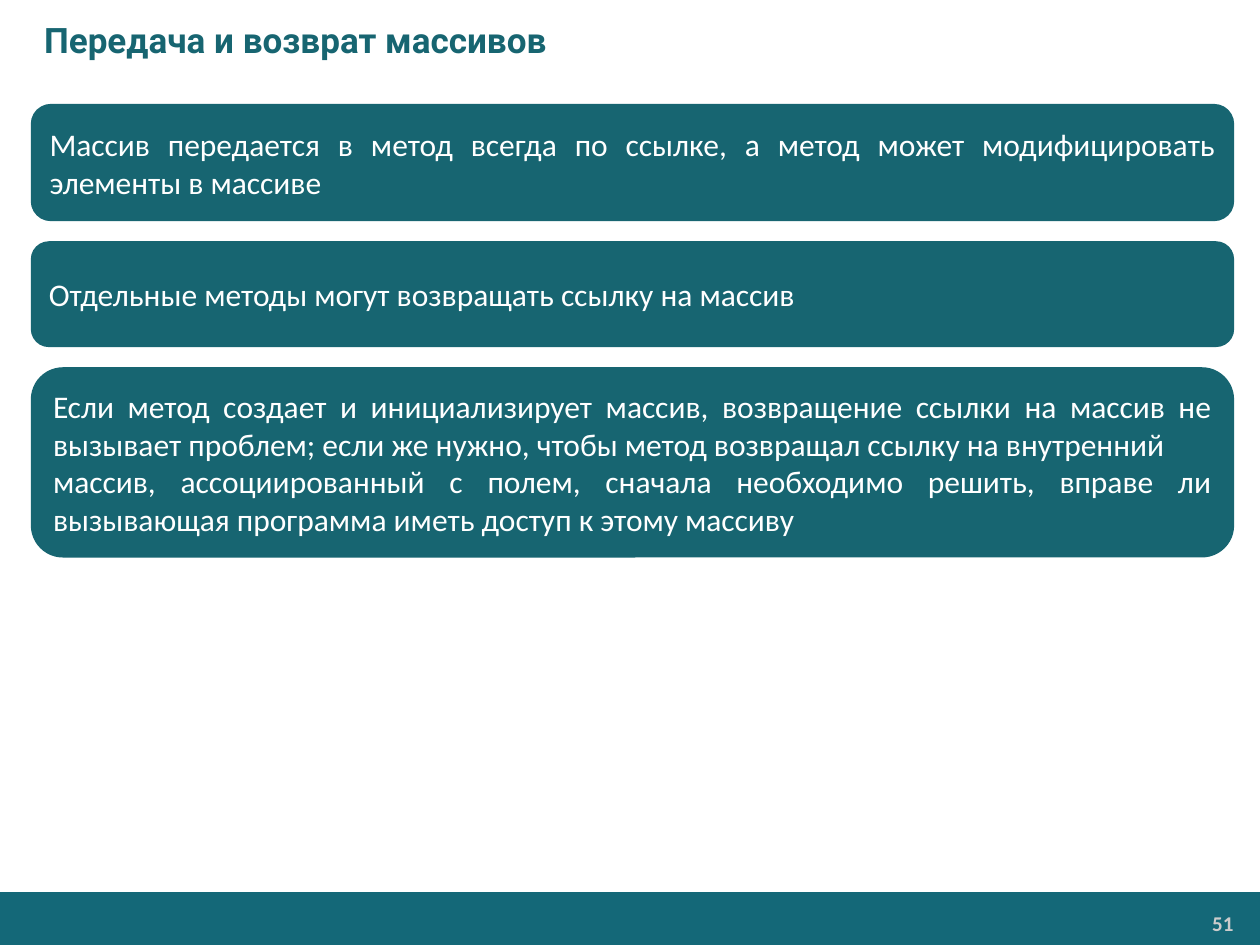
from pptx import Presentation
from pptx.dml.color import RGBColor
from pptx.enum.shapes import MSO_SHAPE as Shape
from pptx.enum.text import MSO_ANCHOR as Anchor, PP_ALIGN as Align
from pptx.util import Inches, Pt

TEAL = RGBColor(0x17, 0x65, 0x71)
FOOTER_TEAL = RGBColor(0x14, 0x68, 0x78)
WHITE = RGBColor(0xFF, 0xFF, 0xFF)
GRAY = RGBColor(0xCC, 0xCC, 0xCC)

presentation = Presentation()
presentation.slide_width, presentation.slide_height = Inches(10), Inches(7.5)
slide = presentation.slides.add_slide(presentation.slide_layouts[6])


def add_block(kind, left, top, width, height, color):
    block = slide.shapes.add_shape(
        kind, Inches(left), Inches(top), Inches(width), Inches(height))
    block.shadow.inherit = False
    block.fill.solid()
    block.fill.fore_color.rgb = color
    block.line.color.rgb = color
    block.line.width = Pt(0.75)
    return block


def write(shape, paragraphs, align, anchor, color, font_values):
    frame = shape.text_frame
    frame.word_wrap = True
    frame.vertical_anchor = anchor
    frame.text = "\n".join(paragraphs)
    for paragraph in frame.paragraphs:
        paragraph.alignment = align
        paragraph.font.color.rgb = color
        for name, value in font_values.items():
            setattr(paragraph.font, name, value)


footer = add_block(Shape.RECTANGLE, 0, 7.08, 10.01, 0.43, FOOTER_TEAL)
footer.line.fill.background()

page_number = slide.shapes.add_textbox(
    Inches(8.23), Inches(7.19), Inches(1.63), Inches(0.28))
frame = page_number.text_frame
frame.margin_left = frame.margin_right = Inches(0.07)
frame.margin_top = frame.margin_bottom = Inches(0.04)
write(page_number, ["51"], Align.RIGHT, Anchor.TOP, GRAY,
      {"name": "Calibri", "size": Pt(12), "bold": True})

title = slide.shapes.add_textbox(0, 0, Inches(10), Inches(0.63))
title.text_frame.margin_left = Inches(0.35)
write(title, ["Передача и возврат массивов"], Align.LEFT, Anchor.MIDDLE, TEAL,
      {"name": "Roboto", "size": Pt(20), "bold": True})

statements = [
    (0.92, ["Массив передается в метод всегда по ссылке, а метод может "
            "модифицировать элементы в массиве"]),
    (0.83, ["Отдельные методы могут возвращать ссылку на массив"]),
    (1.5, ["Если метод создает и инициализирует массив, возвращение ссылки на "
           "массив не вызывает проблем; если же нужно, чтобы метод возвращал "
           "ссылку на внутренний",
           "массив, ассоциированный с полем, сначала необходимо решить, вправе "
           "ли вызывающая программа иметь доступ к этому массиву"]),
]
GAP = 0.17
top = 0.83
for height, paragraphs in statements:
    card = add_block(Shape.ROUNDED_RECTANGLE, 0.25, top, 9.54, height, TEAL)
    write(card, paragraphs, Align.JUSTIFY, Anchor.MIDDLE, WHITE,
          {"name": "Calibri", "size": Pt(18)})
    top += height + GAP

presentation.save("out.pptx")
